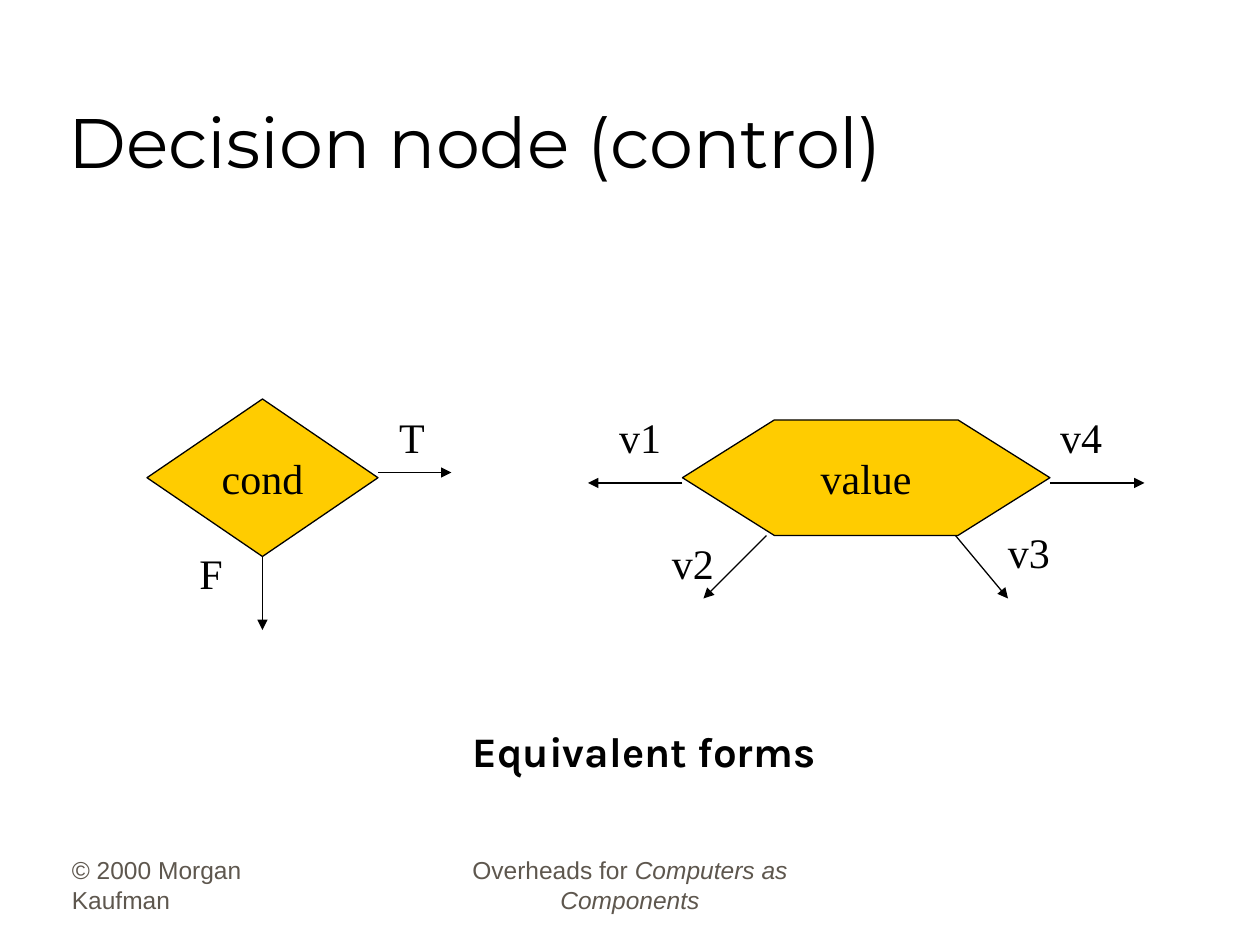
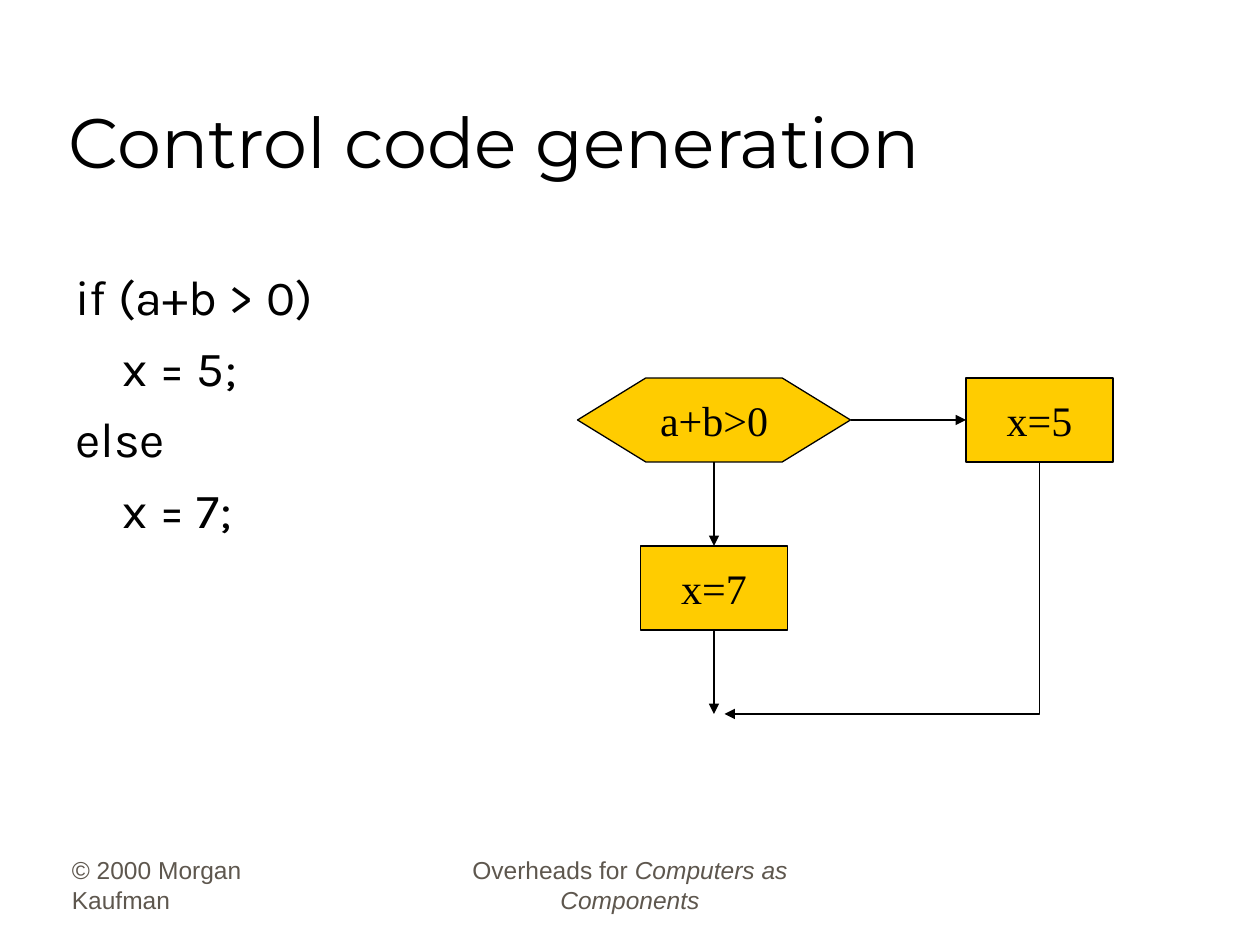
from dataclasses import dataclass

import pptx
import pptx.dml.color
import pptx.enum.shapes
import pptx.enum.text
import pptx.oxml.ns
import pptx.util
from lxml import etree

Pt = pptx.util.Pt
SHAPE = pptx.enum.shapes.MSO_SHAPE
CONNECTOR = pptx.enum.shapes.MSO_CONNECTOR
ANCHOR = pptx.enum.text.MSO_ANCHOR
ALIGN = pptx.enum.text.PP_ALIGN
AUTO_SIZE = pptx.enum.text.MSO_AUTO_SIZE
qn = pptx.oxml.ns.qn


@dataclass(frozen=True)
class Style:
    font: str
    size: float
    color: str
    bold: bool = False


@dataclass(frozen=True)
class Theme:
    node_fill: str = "FFCC00"
    ink: str = "000000"
    line_width: float = 0.75
    title: Style = Style("Montserrat", 40, "000000")
    code: Style = Style("Karla", 28, "000000")
    caption: Style = Style("Karla", 24, "000000", bold=True)
    diagram: Style = Style("Times New Roman", 24, "000000")
    footer: Style = Style("Arial", 14, "5E574E")
    code_gap: float = 7
    code_indent: float = 27


THEME = Theme()


def rgb(value):
    return pptx.dml.color.RGBColor.from_string(value)


def add_run(p, text, style, italic=False):
    r = p.add_run()
    r.text = text
    r.font.name = style.font
    r.font.size = Pt(style.size)
    r.font.bold = style.bold
    r.font.italic = italic
    r.font.color.rgb = rgb(style.color)


def place(sp, left, top, width, height):
    sp.left, sp.top, sp.width, sp.height = map(Pt, (left, top, width, height))


def add_box(s, left, top, width, height, wrap=True, anchor=ANCHOR.TOP):
    sp = s.shapes.add_textbox(*map(Pt, (left, top, width, height)))
    tf = sp.text_frame
    tf.word_wrap = wrap
    tf.vertical_anchor = anchor
    return tf


def add_label(s, text, left, top, width=39, style=THEME.diagram):
    tf = add_box(s, left, top, width, 36, wrap=False)
    tf.auto_size = AUTO_SIZE.SHAPE_TO_FIT_TEXT
    add_run(tf.paragraphs[0], text, style)


def add_footer(s, left, width, runs, align):
    tf = add_box(s, left, 490, width, 36, anchor=ANCHOR.BOTTOM)
    p = tf.paragraphs[0]
    p.alignment = align
    for text, italic in runs:
        add_run(p, text, THEME.footer, italic)


def add_titled_slide(prs, title):
    """Add a slide with its title and the two shared footers."""
    s = prs.slides.add_slide(prs.slide_layouts[5])
    sp = s.shapes.title
    place(sp, 32, 18, 612, 90)
    tf = sp.text_frame
    tf.word_wrap = True
    tf.auto_size = AUTO_SIZE.NONE
    tf.vertical_anchor = ANCHOR.BOTTOM
    p = tf.paragraphs[0]
    p.alignment = ALIGN.LEFT
    add_run(p, title, THEME.title)
    add_footer(s, 34, 150, [("© 2000 Morgan Kaufman", False)], ALIGN.LEFT)
    add_footer(s, 246, 228, [("Overheads for ", False),
                             ("Computers as Components", True)], ALIGN.CENTER)
    return s


def add_node(s, kind, text, left, top, width, height):
    sp = s.shapes.add_shape(kind, *map(Pt, (left, top, width, height)))
    sp.shadow.inherit = False
    sp.fill.solid()
    sp.fill.fore_color.rgb = rgb(THEME.node_fill)
    sp.line.color.rgb = rgb(THEME.ink)
    sp.line.width = Pt(THEME.line_width)
    if kind == SHAPE.HEXAGON:
        # Each pointed end takes a quarter of the width.
        sp.adjustments[0] = width / 4 / height
    tf = sp.text_frame
    tf.word_wrap = False
    tf.vertical_anchor = ANCHOR.MIDDLE
    p = tf.paragraphs[0]
    p.alignment = ALIGN.CENTER
    add_run(p, text, THEME.diagram)


def add_arrow(s, x1, y1, x2, y2, kind=CONNECTOR.STRAIGHT):
    cxn = s.shapes.add_connector(kind, *map(Pt, (x1, y1, x2, y2)))
    cxn.line.color.rgb = rgb(THEME.ink)
    cxn.line.width = Pt(THEME.line_width)
    sp_pr = cxn._element.spPr
    etree.SubElement(sp_pr.find(qn("a:ln")), qn("a:tailEnd"), type="triangle")
    etree.SubElement(sp_pr, qn("a:effectLst"))
    return cxn


def add_down_left_arrow(s, x1, y1, x2, y2):
    """Draw a one-bend arrow that goes down, then left."""
    mid_x, mid_y = (x1 + x2) / 2, (y1 + y2) / 2
    half_w, half_h = (y2 - y1) / 2, (x1 - x2) / 2  # swapped by the quarter turn
    cxn = add_arrow(s, mid_x - half_w, mid_y - half_h,
                    mid_x + half_w, mid_y + half_h, CONNECTOR.ELBOW)
    sp_pr = cxn._element.spPr
    sp_pr.find(qn("a:prstGeom")).set("prst", "bentConnector2")
    sp_pr.find(qn("a:xfrm")).set("rot", "5400000")


def add_code(s, left, top, width, height, lines):
    tf = add_box(s, left, top, width, height)
    for i, (level, text) in enumerate(lines):
        p = tf.paragraphs[0] if i == 0 else tf.add_paragraph()
        if i:
            p.space_before = Pt(THEME.code_gap)
        p_pr = p._p.get_or_add_pPr()
        p_pr.set("marL", str(Pt(level * THEME.code_indent)))
        p_pr.set("indent", "0")
        add_run(p, text, THEME.code)


def build_decision_node(prs):
    s = add_titled_slide(prs, "Decision node (control)")
    add_node(s, SHAPE.DIAMOND, "cond", 84, 228, 132, 90)
    add_node(s, SHAPE.HEXAGON, "value", 390, 240, 210, 66)
    for ends in [(216, 270, 258, 270), (150, 318, 150, 360),
                 (600, 276, 654, 276), (390, 276, 336, 276),
                 (438, 306, 402, 342), (546, 306, 576, 342)]:
        add_arrow(s, *ends)
    add_label(s, "T", 221, 231.5, 29)
    add_label(s, "F", 106.8, 309.5, 28)
    for text, left, top in [("v1", 346.8, 231.5), ("v2", 376.8, 303.5),
                            ("v3", 568.8, 297.5), ("v4", 598.8, 231.5)]:
        add_label(s, text, left, top)
    add_label(s, "Equivalent forms", 263, 411, 219, THEME.caption)


def build_code_generation(prs):
    s = add_titled_slide(prs, "Control code generation")
    add_code(s, 36, 148.5, 316, 328, [(0, "if (a+b > 0)"), (1, "x = 5;"),
                                      (0, "else"), (1, "x = 7;")])
    add_node(s, SHAPE.HEXAGON, "a+b>0", 330, 216, 156, 48)
    add_node(s, SHAPE.RECTANGLE, "x=5", 552, 216, 84, 48)
    add_node(s, SHAPE.RECTANGLE, "x=7", 366, 312, 84, 48)
    add_arrow(s, 486, 240, 552, 240)
    add_arrow(s, 408, 264, 408, 312)
    add_arrow(s, 408, 360, 408, 408)
    add_down_left_arrow(s, 594, 264, 414, 408)


def main():
    prs = pptx.Presentation()
    prs.slide_width, prs.slide_height = Pt(720), Pt(540)
    build_decision_node(prs)
    build_code_generation(prs)
    prs.save("out.pptx")


if __name__ == "__main__":
    main()
